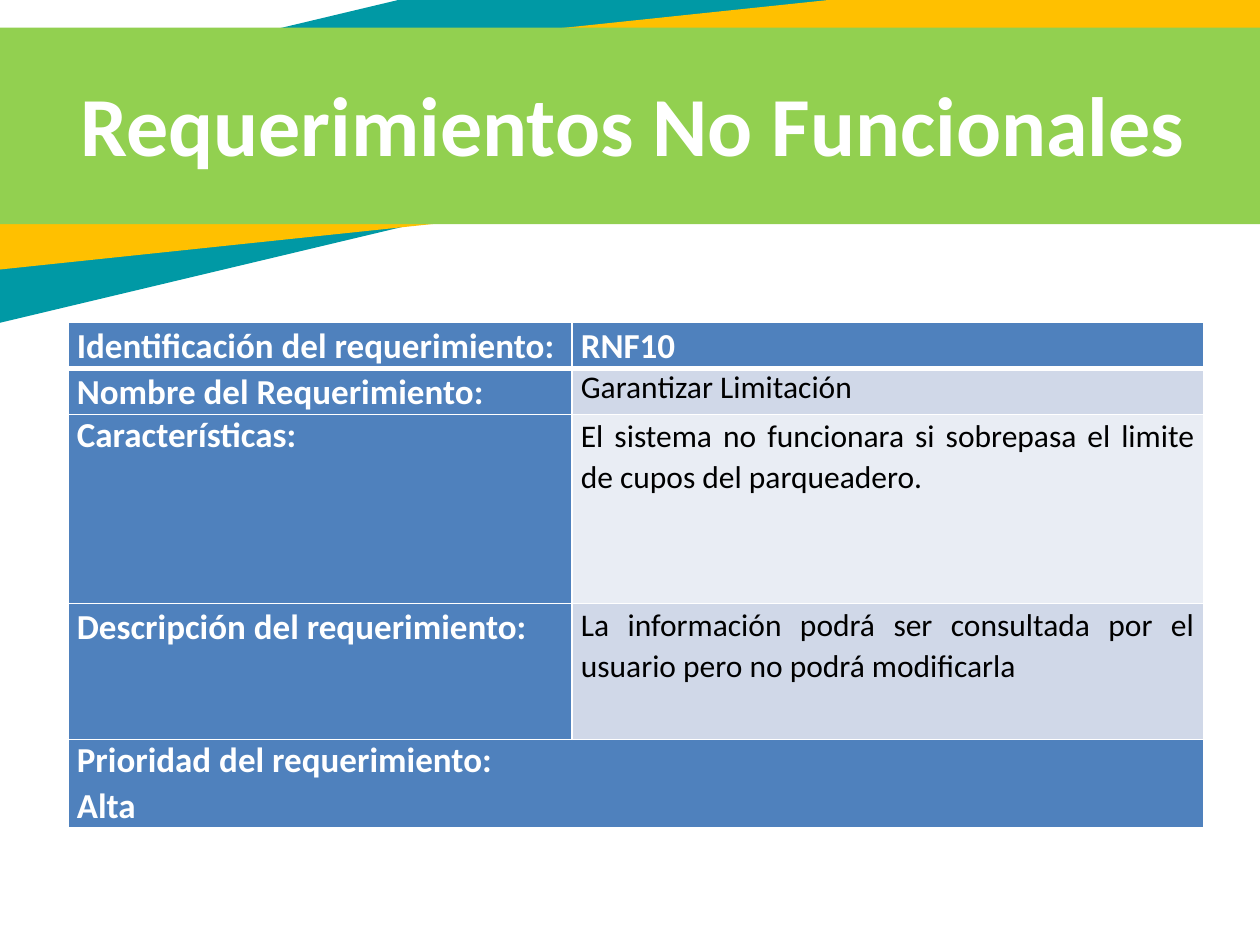
"""Build the slide of non-functional requirements with its banner and table."""
from dataclasses import dataclass

import lxml.etree
import pptx
import pptx.dml.color
import pptx.enum.shapes
import pptx.enum.text
import pptx.oxml.ns
import pptx.util

Inches = pptx.util.Inches
Align = pptx.enum.text.PP_ALIGN
FONT = "Calibri"
WHITE, BLACK = "FFFFFF", "000000"
LABEL_FILL, DARK_BAND, LIGHT_BAND = "4F81BD", "D0D8E8", "E9EDF4"
LOOSE = 1.07


@dataclass
class Band:
    left: float
    top: float
    width: float
    height: float
    color: str
    rotation: float = 0


@dataclass
class Line:
    text: str
    size: int = 20
    color: str = WHITE
    bold: bool = True
    spacing: float | None = LOOSE
    align: Align | None = None


@dataclass
class Entry:
    lines: list[Line]
    fill: str = LABEL_FILL


@dataclass
class Row:
    height: float
    entries: list[Entry]


def label(text: str, spacing: float | None = LOOSE) -> Entry:
    return Entry([Line(text, spacing=spacing)])


def detail(text: str, fill: str, spacing: float | None = LOOSE,
           align: Align | None = Align.JUSTIFY) -> Entry:
    return Entry([Line(text, 18, BLACK, False, spacing, align)], fill)


BANDS = [
    Band(-2.51, -0.18, 13.06, 1.76, "0099A5", 346.6),
    Band(-1.1, 0.2, 11.63, 1.44, "FFC000", 354),
    Band(-1.06, 0.22, 11.63, 1.56, "92D050"),
]
COLUMN_WIDTHS = [4, 5.01]
ROWS = [
    Row(0.22, [label("Identificación del requerimiento:"), label("RNF10")]),
    Row(0.3, [label("Nombre del Requerimiento:"),
              detail("Garantizar Limitación", DARK_BAND, None, None)]),
    Row(1.5, [label("Características:", None),
              detail("El sistema no funcionara si sobrepasa el limite de cupos "
                     "del parqueadero.", LIGHT_BAND)]),
    Row(1.08, [label("Descripción del requerimiento:"),
               detail("La información podrá ser consultada por el usuario pero "
                      "no podrá modificarla", DARK_BAND)]),
    Row(0.58, [Entry([Line("Prioridad del requerimiento:", spacing=None),
                      Line("Alta")])]),
]


def rgb(color: str) -> pptx.dml.color.RGBColor:
    return pptx.dml.color.RGBColor.from_string(color)


def draw_band(slide, band: Band) -> None:
    shape = slide.shapes.add_shape(
        pptx.enum.shapes.MSO_SHAPE.RECTANGLE, Inches(band.left),
        Inches(band.top), Inches(band.width), Inches(band.height))
    shape.rotation = band.rotation
    shape.shadow.inherit = False
    shape.fill.solid()
    shape.fill.fore_color.rgb = rgb(band.color)
    shape.line.fill.background()


def write_lines(text_frame, lines: list[Line]) -> None:
    for index, line in enumerate(lines):
        paragraph = text_frame.add_paragraph() if index else text_frame.paragraphs[0]
        paragraph.alignment = line.align
        paragraph.line_spacing = line.spacing
        run = paragraph.add_run()
        run.text = line.text
        run.font.name = FONT
        run.font.size = pptx.util.Pt(line.size)
        run.font.bold = line.bold
        run.font.color.rgb = rgb(line.color)


def draw_borders(cell, widths: dict[str, int]) -> None:
    properties = cell._tc.get_or_add_tcPr()
    qualified = pptx.oxml.ns.qn
    for side, width in widths.items():
        border = lxml.etree.SubElement(
            properties, qualified(f"a:ln{side}"), w=str(pptx.util.Pt(width)))
        fill = lxml.etree.SubElement(border, qualified("a:solidFill"))
        lxml.etree.SubElement(fill, qualified("a:srgbClr"), val=WHITE)


def fill_cell(cell, entry: Entry) -> None:
    cell.margin_left = cell.margin_right = Inches(0.07)
    cell.margin_top = cell.margin_bottom = 0
    cell.fill.solid()
    cell.fill.fore_color.rgb = rgb(entry.fill)
    write_lines(cell.text_frame, entry.lines)


def draw_table(slide, rows: list[Row]) -> None:
    table = slide.shapes.add_table(
        len(rows), len(COLUMN_WIDTHS), Inches(0.54), Inches(2.56),
        Inches(sum(COLUMN_WIDTHS)), Inches(sum(row.height for row in rows))).table
    for column, width in zip(table.columns, COLUMN_WIDTHS):
        column.width = Inches(width)
    for index, row in enumerate(rows):
        table.rows[index].height = Inches(row.height)
        cells = list(table.rows[index].cells)
        if len(row.entries) < len(cells):
            cells[0].merge(cells[-1])
        for cell in cells:
            draw_borders(cell, {"L": 1, "R": 1, "T": 3 if index == 1 else 1,
                                "B": 3 if index == 0 else 1})
        for cell, entry in zip(cells, row.entries):
            fill_cell(cell, entry)


def draw_title(slide, title: Line) -> None:
    text_frame = slide.shapes.add_textbox(
        Inches(0.54), Inches(0.49), Inches(10.56), Inches(0.97)).text_frame
    text_frame.word_wrap = True
    text_frame.vertical_anchor = pptx.enum.text.MSO_ANCHOR.MIDDLE
    write_lines(text_frame, [title])


def main() -> None:
    presentation = pptx.Presentation()
    presentation.slide_width = Inches(10)
    presentation.slide_height = Inches(7.5)
    slide = presentation.slides.add_slide(presentation.slide_layouts[6])
    for band in BANDS:
        draw_band(slide, band)
    draw_table(slide, ROWS)
    draw_title(slide, Line("Requerimientos No Funcionales", 48, spacing=None))
    presentation.save("out.pptx")


if __name__ == "__main__":
    main()
